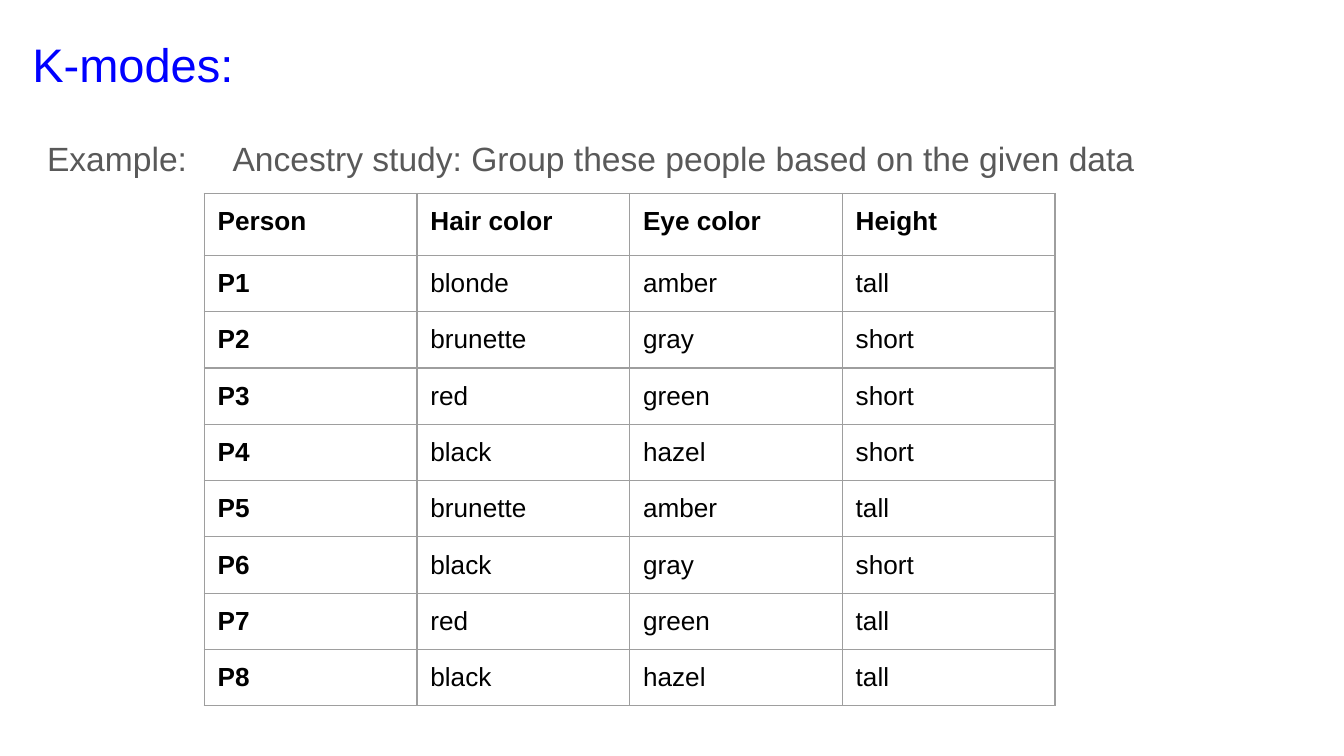
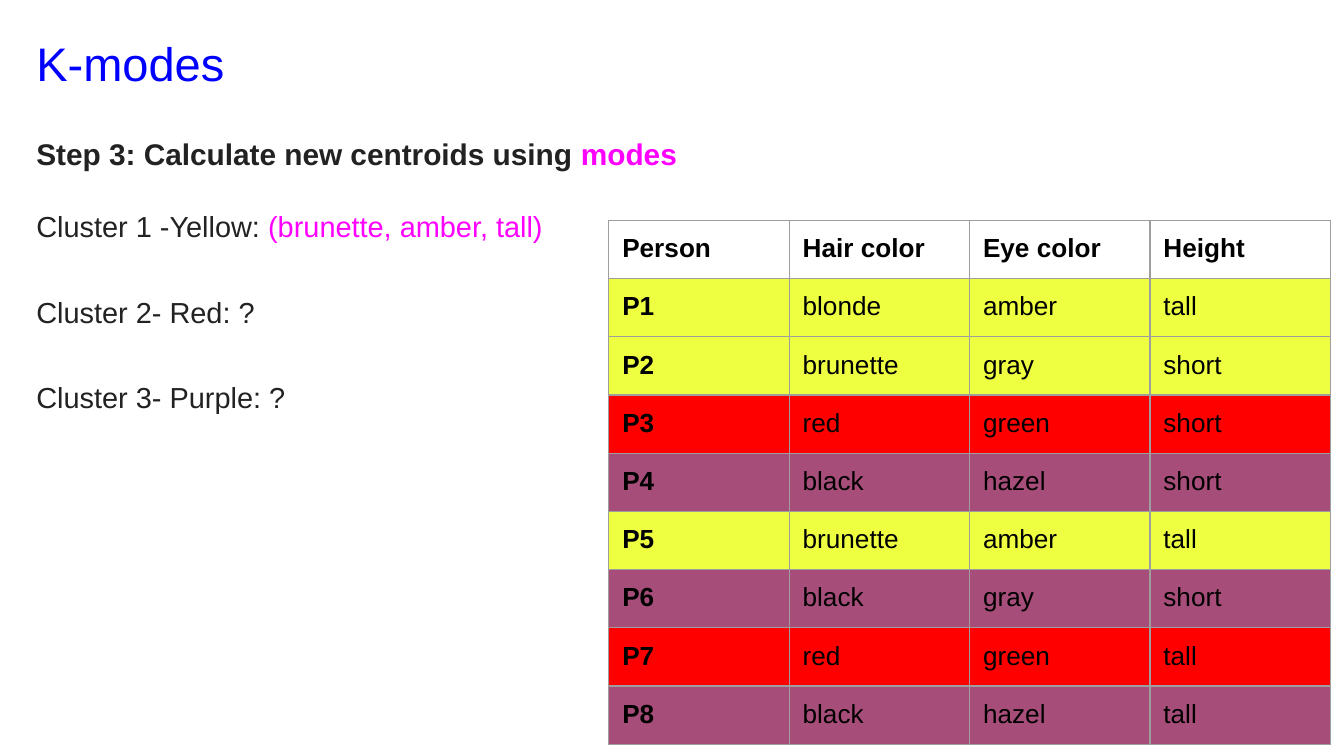
from lxml import etree
from pptx import Presentation
from pptx.dml.color import RGBColor
from pptx.enum import text
from pptx.oxml import ns
from pptx.util import Inches, Pt

FONT = "Arial"
BLUE = RGBColor(0x00, 0x00, 0xFF)
GRAY = RGBColor(0x59, 0x59, 0x59)
INK = RGBColor(0x22, 0x22, 0x22)
BLACK = RGBColor(0x00, 0x00, 0x00)
MAGENTA = RGBColor(0xFF, 0x00, 0xFF)
BORDER = RGBColor(0x9E, 0x9E, 0x9E)
YELLOW = RGBColor(0xEE, 0xFF, 0x41)
RED = RGBColor(0xFF, 0x00, 0x00)
PURPLE = RGBColor(0xA6, 0x4D, 0x79)

INSET = Inches(0.1)
HEADINGS = ("Person", "Hair color", "Eye color", "Height")
PEOPLE = (
    ("P1", "blonde", "amber", "tall"),
    ("P2", "brunette", "gray", "short"),
    ("P3", "red", "green", "short"),
    ("P4", "black", "hazel", "short"),
    ("P5", "brunette", "amber", "tall"),
    ("P6", "black", "gray", "short"),
    ("P7", "red", "green", "tall"),
    ("P8", "black", "hazel", "tall"),
)
CLUSTERS = (YELLOW, YELLOW, RED, PURPLE, YELLOW, PURPLE, RED, PURPLE)


def style(font, size, color, bold=False):
    font.name, font.size, font.bold = FONT, Pt(size), bold
    font.color.rgb = color


def place(holder, left, top, width, height, anchor):
    """Move a placeholder and give it the shared text frame settings."""
    holder.left, holder.top = Inches(left), Inches(top)
    holder.width, holder.height = Inches(width), Inches(height)
    frame = holder.text_frame
    frame.margin_left = frame.margin_right = INSET
    frame.margin_top = frame.margin_bottom = INSET
    frame.auto_size = text.MSO_AUTO_SIZE.NONE
    frame.vertical_anchor = anchor
    return frame


def add_title(slide, wording, left, top):
    frame = place(slide.shapes.title, left, top, 9.32, 0.63,
                  text.MSO_ANCHOR.MIDDLE)
    heading = frame.paragraphs[0]
    heading.text = wording
    heading.alignment = text.PP_ALIGN.LEFT
    style(heading.font, 25.2, BLUE)


def add_line(frame, wording, size, color, spacing, before=0, bold=False,
             accent="", tab=None):
    """Add an unbulleted body line, optionally ending in magenta words."""
    line = frame.paragraphs[0]
    if line.runs:
        line = frame.add_paragraph()
    line.add_run().text = wording
    line.line_spacing, line.space_before = spacing, Pt(before)

    # No bullet or indent, and a tab width where one is asked for
    props = line._p.get_or_add_pPr()
    props.set("marL", "0")
    props.set("indent", "0")
    if tab:
        props.set("defTabSz", str(Inches(tab)))
    etree.SubElement(props, ns.qn("a:buNone"))

    style(line.font, size, color, bold)
    if accent:
        ending = line.add_run()
        ending.text = accent
        ending.font.color.rgb = MAGENTA


def add_borders(cell):
    props = cell._tc.get_or_add_tcPr()
    for position, side in enumerate(("lnL", "lnR", "lnT", "lnB")):
        edge = etree.Element(ns.qn(f"a:{side}"), w=str(Pt(0.75)))
        fill = etree.SubElement(edge, ns.qn("a:solidFill"))
        etree.SubElement(fill, ns.qn("a:srgbClr"), val=str(BORDER))
        props.insert(position, edge)


def fill_cell(cell, wording, bold, color):
    cell.margin_left = cell.margin_right = INSET
    cell.margin_top = cell.margin_bottom = INSET
    entry = cell.text_frame.paragraphs[0]
    entry.text = wording
    style(entry.font, 14, BLACK, bold)
    if color is None:
        cell.fill.background()
    else:
        cell.fill.solid()
        cell.fill.fore_color.rgb = color
    add_borders(cell)


def add_people(slide, left, top, width, header, row, colors):
    """Add the table of people, each row filled with its cluster colour."""
    records = (HEADINGS,) + PEOPLE
    people = slide.shapes.add_table(
        len(records), len(HEADINGS), Inches(left), Inches(top),
        Inches(width), Inches(header + row * len(PEOPLE))).table
    people.first_row = people.horz_banding = False
    for r, (record, color) in enumerate(zip(records, (None,) + colors)):
        people.rows[r].height = Inches(row if r else header)
        for c, wording in enumerate(record):
            fill_cell(people.cell(r, c), wording, r == 0 or c == 0, color)


def build_example(slide):
    add_title(slide, "K-modes:", 0.14, 0.16)
    body = place(slide.placeholders[1], 0.25, 0.88, 9.32, 3.74,
                 text.MSO_ANCHOR.TOP)
    add_line(body, "Example:\tAncestry study: Group these people based on "
             "the given data", 18, GRAY, 1.15, tab=1.38)
    add_people(slide, 1.52, 1.44, 6.33, 0.46, 0.36, (None,) * len(PEOPLE))


def build_centroids(slide):
    add_title(slide, "K-modes", 0.17, 0.15)
    body = place(slide.placeholders[1], 0.17, 0.86, 9.48, 4.67,
                 text.MSO_ANCHOR.TOP)
    add_line(body, "Step 3: Calculate new centroids using ", 16, INK, 1.2,
             bold=True, accent="modes")
    for wording, accent, before in (
            ("Cluster 1 -Yellow: ", "(brunette, amber, tall)", 4),
            ("Cluster 2- Red: ?", "", 12),
            ("Cluster 3- Purple: ?", "", 12)):
        add_line(body, wording, 15.5, INK, 1.83, before, accent=accent)
    row = 3.9 / (1 + len(PEOPLE))
    add_people(slide, 4.53, 1.64, 5.37, row, row, CLUSTERS)


def main():
    deck = Presentation()
    # Widescreen, 16:9
    deck.slide_width = Inches(10)
    deck.slide_height = deck.slide_width * 9 // 16
    for build in (build_example, build_centroids):
        build(deck.slides.add_slide(deck.slide_layouts[1]))
    deck.save("out.pptx")


if __name__ == "__main__":
    main()
